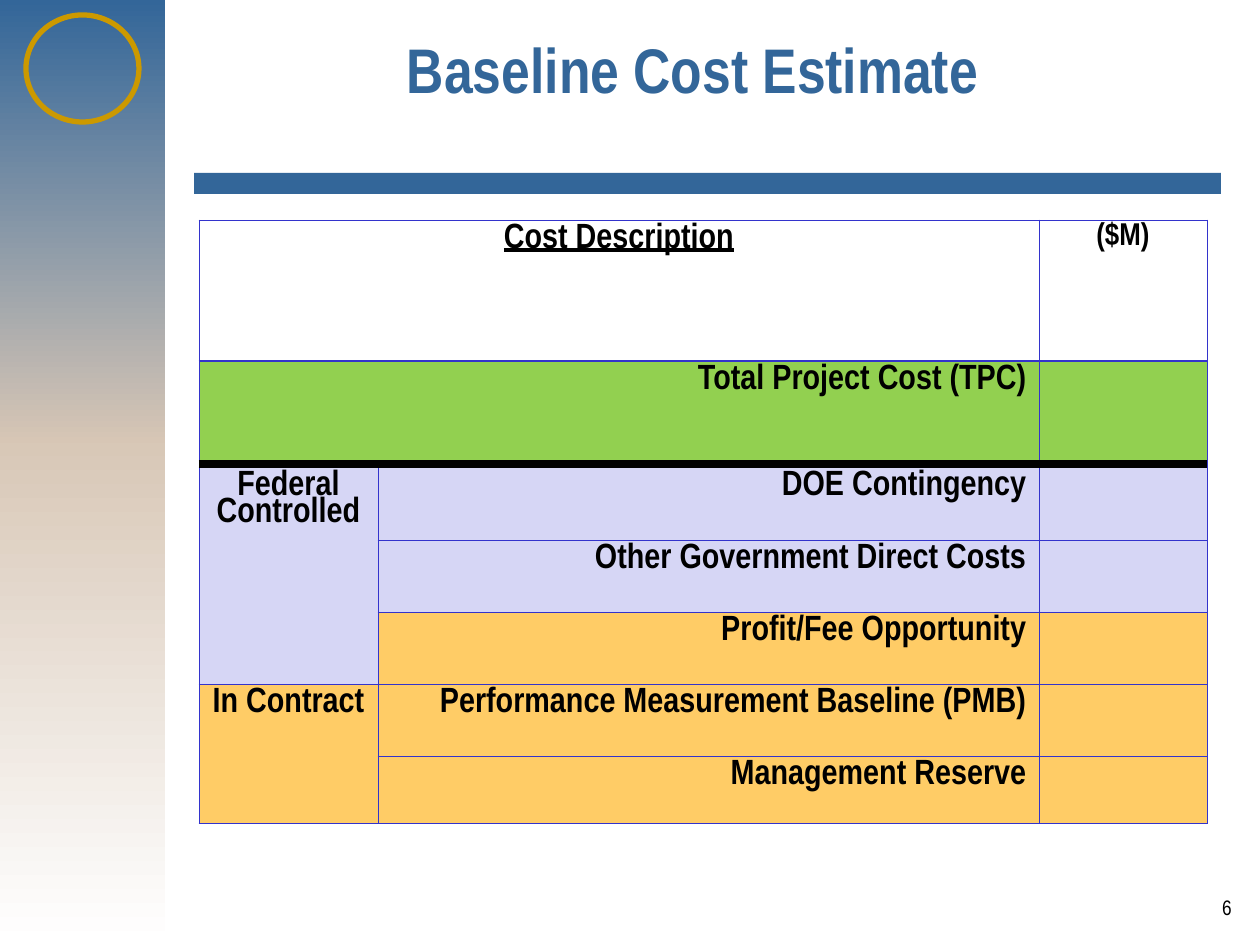
"""Build the baseline cost estimate slide."""
from lxml.etree import SubElement
from pptx import Presentation
from pptx.dml.color import RGBColor
from pptx.enum.shapes import MSO_CONNECTOR, MSO_SHAPE
from pptx.enum.text import MSO_ANCHOR, PP_ALIGN
from pptx.oxml import parse_xml
from pptx.oxml.ns import nsdecls, qn
from pptx.util import Emu, Pt

BLUE = RGBColor(0x33, 0x66, 0x99)
SAND = RGBColor(0xD7, 0xC6, 0xB5)
GOLD = RGBColor(0xCC, 0x99, 0x00)
WHITE = RGBColor(0xFF, 0xFF, 0xFF)
BLACK = RGBColor(0x00, 0x00, 0x00)
GREEN = RGBColor(0x92, 0xD0, 0x50)
LILAC = RGBColor(0xD6, 0xD6, 0xF5)
ORANGE = RGBColor(0xFF, 0xCC, 0x66)
BORDER = RGBColor(0x33, 0x33, 0xCC)

COLUMNS = [179, 661, 168]
HEIGHTS = [141, 106, 73, 72, 72, 72, 68]
COSTS = [
    ("DOE Contingency", LILAC),
    ("Other Government Direct Costs", LILAC),
    ("Profit/Fee Opportunity", ORANGE),
    ("Performance Measurement Baseline (PMB)", ORANGE),
    ("Management Reserve", ORANGE),
]


def px(length):
    return Emu(round(length * 914400 / 126))


class SlideBuilder:
    def __init__(self, deck):
        self.page = deck.slides.add_slide(deck.slide_layouts[6])
        self.font = "Arial Narrow"

    def fill_text(self, frame, text, size, align, color=BLACK, spacing=1.0, **styles):
        formats = {"name": self.font, "size": Pt(size), **styles}
        for index, line in enumerate(text.split("\n")):
            para = frame.add_paragraph() if index else frame.paragraphs[0]
            para.alignment = align
            para.line_spacing = spacing
            span = para.add_run()
            span.text = line
            span.font.color.rgb = color
            for key, value in formats.items():
                setattr(span.font, key, value)

    def text(self, place, text, size, align, anchor=MSO_ANCHOR.TOP, **styles):
        box = self.page.shapes.add_textbox(*map(px, place))
        box.text_frame.word_wrap = True
        box.text_frame.vertical_anchor = anchor
        self.fill_text(box.text_frame, text, size, align, **styles)

    def shape(self, kind, place, colors=(), outline=None):
        shape = self.page.shapes.add_shape(kind, *map(px, place))
        shape.shadow.inherit = False
        if len(colors) > 1:
            shape.fill.gradient()
            shape.fill.gradient_angle = 270
            for stop, color in zip(shape.fill.gradient_stops, colors):
                stop.color.rgb = color
        elif colors:
            shape.fill.solid()
            shape.fill.fore_color.rgb = colors[0]
        else:
            shape.fill.background()
        if outline:
            shape.line.color.rgb = outline
            shape.line.width = Pt(3)
        else:
            shape.line.fill.background()

    def line(self, start, end, color, width):
        line = self.page.shapes.add_connector(
            MSO_CONNECTOR.STRAIGHT, *map(px, start + end))
        line.line.color.rgb = color
        line.line.width = Pt(width)
        SubElement(line._element.spPr, qn("a:effectLst"))

    def table(self, left, top, columns, heights):
        frame = self.page.shapes.add_table(
            len(heights), len(columns), px(left), px(top),
            px(sum(columns)), px(sum(heights)))
        table = frame.table
        table.first_row = table.horz_banding = False
        for column, width in zip(table.columns, columns):
            column.width = px(width)
        for row, height in zip(table.rows, heights):
            row.height = px(height)
        return table

    def cell(self, cell, fill, heavy_side=None):
        properties = cell._tc.get_or_add_tcPr()
        for side in "LRTB":
            width = Pt(0.96 if side == heavy_side else 0.45)
            properties.append(parse_xml(
                f'<a:ln{side} {nsdecls("a")} w="{width}"><a:solidFill>'
                f'<a:srgbClr val="{BORDER}"/></a:solidFill></a:ln{side}>'))
        cell.fill.solid()
        cell.fill.fore_color.rgb = fill

    def label(self, cell, text, align, size=20, **styles):
        self.fill_text(cell.text_frame, text, size, align,
                       spacing=0.83, bold=True, **styles)


def add_costs(slide):
    table = slide.table(199, 220, COLUMNS, HEIGHTS)
    fills = [WHITE, GREEN] + [fill for _, fill in COSTS]
    heavy_sides = {0: "B", 1: "T"}
    for row, fill in enumerate(fills):
        for column in range(len(COLUMNS)):
            group_fill = LILAC if row == 4 and column == 0 else fill
            slide.cell(table.cell(row, column), group_fill, heavy_sides.get(row))
    for first, last in [((0, 0), (0, 1)), ((1, 0), (1, 1)),
                        ((2, 0), (4, 0)), ((5, 0), (6, 0))]:
        table.cell(*first).merge(table.cell(*last))
    center, right = PP_ALIGN.CENTER, PP_ALIGN.RIGHT
    slide.label(table.cell(0, 0), "Cost Description", center, underline=True)
    slide.label(table.cell(0, 2), "($M)", center, size=18)
    slide.label(table.cell(1, 0), "Total Project Cost (TPC)", right)
    slide.label(table.cell(2, 0), "Federal\nControlled", center)
    slide.label(table.cell(5, 0), "In Contract", center)
    for row, (name, _) in enumerate(COSTS, start=2):
        slide.label(table.cell(row, 1), name, right)


def main():
    deck = Presentation()
    deck.slide_width, deck.slide_height = px(1260), px(945)
    slide = SlideBuilder(deck)
    slide.shape(MSO_SHAPE.RECTANGLE, (0, 428, 165, 517), (SAND, WHITE))
    slide.shape(MSO_SHAPE.RECTANGLE, (0, 0, 165, 443), (BLUE, SAND))
    slide.shape(MSO_SHAPE.OVAL, (26, 15, 113, 107), outline=GOLD)
    slide.shape(MSO_SHAPE.RECTANGLE, (194, 173, 1027, 21), (BLUE,))
    slide.text((168, 0, 1049, 136), "Baseline Cost Estimate", 36,
               PP_ALIGN.CENTER, MSO_ANCHOR.MIDDLE, color=BLUE, bold=True)
    slide.text((913, 888, 331, 42), "6", 12, PP_ALIGN.RIGHT)
    add_costs(slide)
    slide.line((199, 464), (1207, 464), BLACK, 4.5)
    deck.save("out.pptx")


if __name__ == "__main__":
    main()
